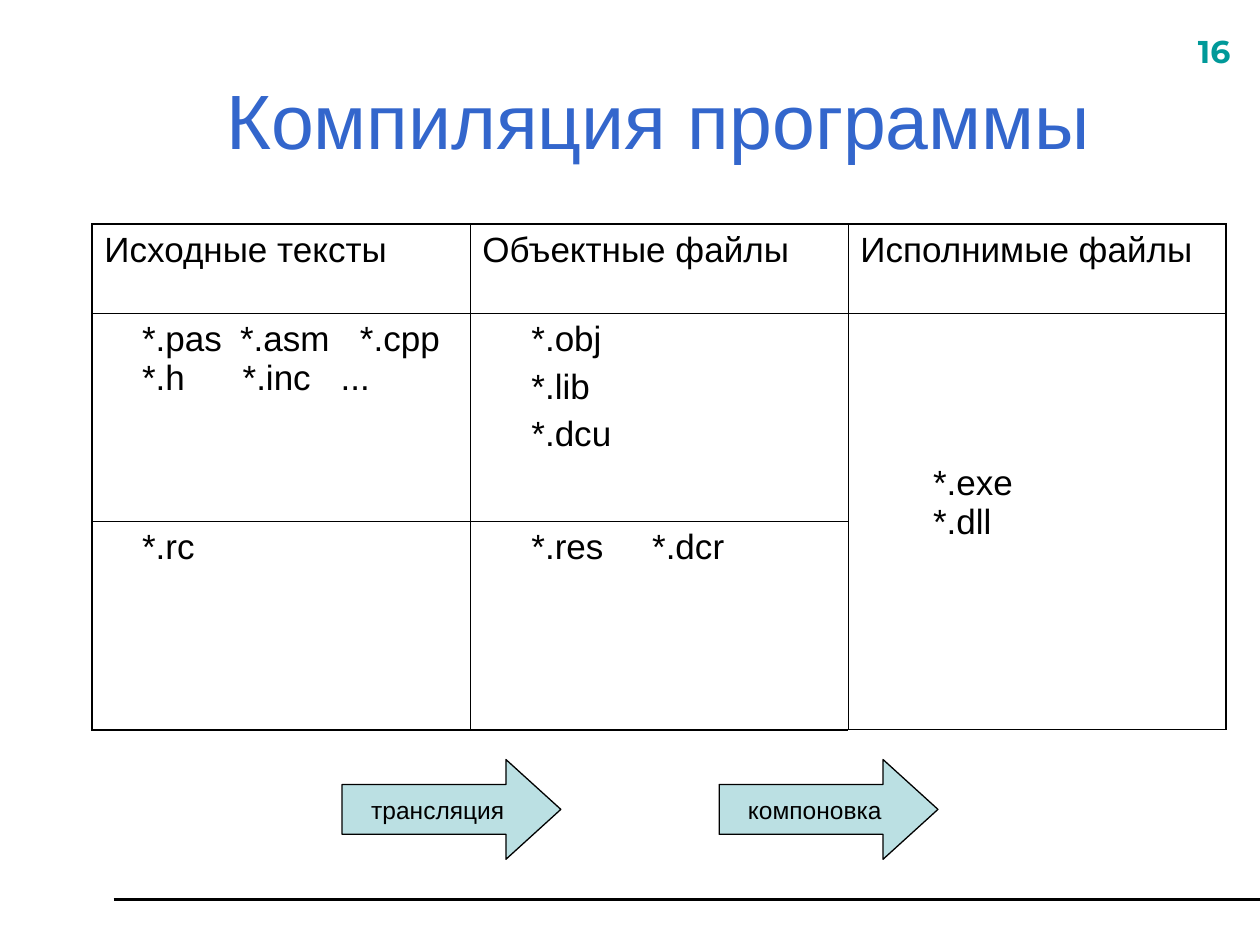
from lxml import etree
from pptx import Presentation
from pptx.dml.color import RGBColor
from pptx.enum.shapes import MSO_CONNECTOR, MSO_SHAPE
from pptx.enum.text import MSO_ANCHOR, PP_ALIGN
from pptx.oxml.ns import qn
from pptx.util import Pt

STRAIGHT = MSO_CONNECTOR.STRAIGHT
RIGHT_ARROW = MSO_SHAPE.RIGHT_ARROW
MIDDLE = MSO_ANCHOR.MIDDLE
CENTER = PP_ALIGN.CENTER
LEFT = PP_ALIGN.LEFT
BLACK = RGBColor(0x00, 0x00, 0x00)
BLUE = RGBColor(0x33, 0x66, 0xCC)
TEAL = RGBColor(0x00, 0x99, 0x99)
PALE = RGBColor(0xBB, 0xE0, 0xE3)


def style(p, size, color, align=LEFT, font="Arial", bold=False):
    p.alignment = align
    for r in p.runs:
        r.font.size = Pt(size)
        r.font.name = font
        r.font.bold = bold
        r.font.color.rgb = color


def set_borders(cell, widths):
    tcPr = cell._tc.get_or_add_tcPr()
    for i, (side, width) in enumerate(widths.items()):
        ln = etree.Element(qn("a:ln" + side), w=str(Pt(width)))
        fill = etree.SubElement(ln, qn("a:solidFill"))
        etree.SubElement(fill, qn("a:srgbClr"), val=str(BLACK))
        tcPr.insert(i, ln)


prs = Presentation()
prs.slide_width = Pt(720)
prs.slide_height = Pt(540)
s = prs.slides.add_slide(prs.slide_layouts[5])

line = s.shapes.add_connector(STRAIGHT, Pt(65), Pt(514), Pt(720), Pt(514))
line.line.color.rgb = BLACK
line.line.width = Pt(1.25)
etree.SubElement(line._element.spPr, qn("a:effectLst"))

number = s.shapes.add_textbox(Pt(677.5), Pt(15), Pt(45), Pt(32))
tf = number.text_frame
tf.word_wrap = True
tf.text = "16"
style(tf.paragraphs[0], 18, TEAL, font="Montserrat", bold=True)

title = s.shapes.title
title.left, title.top, title.width, title.height = Pt(52.5), Pt(23), Pt(648), Pt(90)
tf = title.text_frame
tf.text = "Компиляция программы"
tf.vertical_anchor = MIDDLE
style(tf.paragraphs[0], 44, BLUE, CENTER)

row_heights = [51, 119, 119]
table = s.shapes.add_table(3, 3, Pt(52.5), Pt(128), Pt(648), Pt(sum(row_heights))).table
table.first_row = False
table.horz_banding = False
for row, height in zip(table.rows, row_heights):
    row.height = Pt(height)
for col in table.columns:
    col.width = Pt(216)
table.cell(1, 2).merge(table.cell(2, 2))

texts = [
    ["Исходные тексты", "Объектные файлы", "Исполнимые файлы"],
    ["*.pas\t*.asm\t*.cpp\n*.h\t*.inc\t...", "*.obj\n*.lib\n*.dcu", "*.exe\n*.dll"],
    ["*.rc", "*.res\t*.dcr", ""],
]
indents = [21.5, 28, 41.5]
spacing = {(1, 1): 5}
tab_stops = {(1, 0): [[56, 124.5], [57.5, 113.5]], (2, 1): [[69]]}

for i, row in enumerate(texts):
    for j, text in enumerate(row):
        cell = table.cell(i, j)
        cell.fill.background()
        set_borders(cell, {
            "L": 1.08 if j == 0 else 0.45,
            "R": 1.08 if j == 2 else 0.45,
            "T": 1.08 if i == 0 else 0.45,
            "B": 1.08 if i == 2 else 0.45,
        })
        cell.margin_left = Pt(7.2 + (indents[j] if i else 0))
        cell.text_frame.text = text
        for k, p in enumerate(cell.text_frame.paragraphs):
            style(p, 20, BLACK)
            p.space_before = Pt(spacing.get((i, j), 0))
            if (i, j) in tab_stops:
                tabs = etree.SubElement(p._p.get_or_add_pPr(), qn("a:tabLst"))
                for stop in tab_stops[i, j][k]:
                    etree.SubElement(tabs, qn("a:tab"), pos=str(Pt(stop)), algn="l")
table.cell(1, 2).margin_top = Pt(86)

for k, text in enumerate(["трансляция", "компоновка"]):
    arrow = s.shapes.add_shape(RIGHT_ARROW, Pt(195.5 + 215.5 * k), Pt(434), Pt(125), Pt(57))
    arrow.adjustments[0] = 0.5
    arrow.adjustments[1] = 0.55
    arrow.shadow.inherit = False
    arrow.fill.solid()
    arrow.fill.fore_color.rgb = PALE
    arrow.line.color.rgb = BLACK
    arrow.line.width = Pt(0.75)
    tf = arrow.text_frame
    tf.word_wrap = False
    tf.vertical_anchor = MIDDLE
    tf.text = text
    style(tf.paragraphs[0], 14, BLACK, CENTER)

prs.save("out.pptx")
